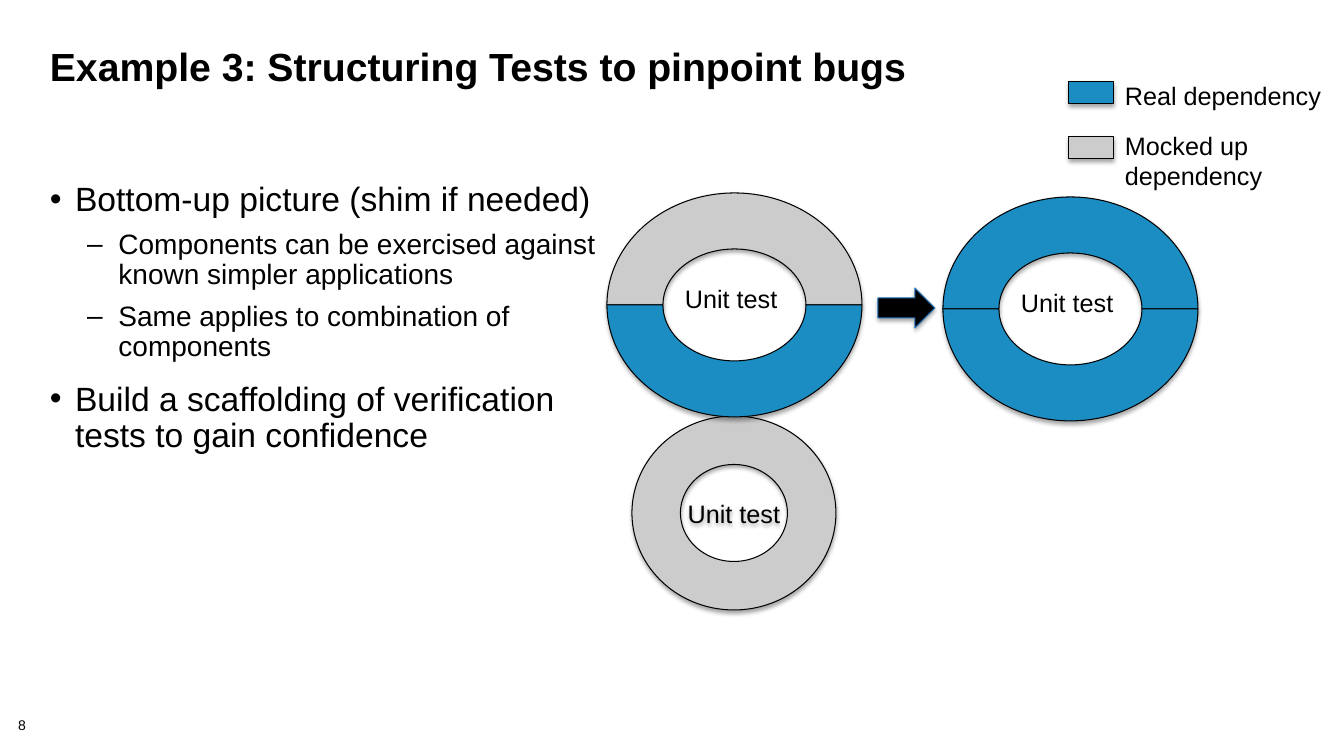
from lxml import etree
from pptx import Presentation
from pptx.dml.color import RGBColor
from pptx.enum.shapes import MSO_SHAPE as Preset
from pptx.enum.text import MSO_ANCHOR as Anchor, PP_ALIGN as Align
from pptx.oxml import parse_xml
from pptx.oxml.ns import nsdecls, qn
from pptx.util import Emu, Pt

PX = 914400 / 100.8
BLACK = RGBColor(0x00, 0x00, 0x00)
BLUE = RGBColor(0x1B, 0x8D, 0xC3)
GREY = RGBColor(0xCC, 0xCC, 0xCC)
ARROW_EDGE = RGBColor(0x26, 0x73, 0xBA)

presentation = Presentation()
presentation.slide_width = Emu(round(1344 * PX))
presentation.slide_height = Emu(round(756 * PX))
slide = presentation.slides.add_slide(presentation.slide_layouts[6])


def add_text(box, lines, size, wrap=True, bold=False, spacing=None):
    shape = slide.shapes.add_textbox(*[Emu(round(n * PX)) for n in box])
    frame = shape.text_frame
    frame.word_wrap = wrap
    frame.text = "\n".join(lines)
    for paragraph in frame.paragraphs:
        paragraph.line_spacing = spacing
        paragraph.font.name = "Arial"
        paragraph.font.size = Pt(size)
        paragraph.font.bold = bold
        paragraph.font.color.rgb = BLACK
    return frame


def add_figure(preset, box, fill, edge=BLACK):
    shape = slide.shapes.add_shape(preset, *[Emu(round(n * PX)) for n in box])
    shape.fill.solid()
    shape.fill.fore_color.rgb = fill
    shape.line.color.rgb = edge
    shape.line.width = Pt(0.75)
    shape.shadow.inherit = False
    shape._element.spPr.find(qn("a:effectLst")).append(parse_xml(
        f'<a:outerShdw {nsdecls("a")} blurRad="40000" dist="23000" dir="5400000" rotWithShape="0">'
        '<a:srgbClr val="000000"><a:alpha val="35000"/></a:srgbClr></a:outerShdw>'))
    return shape


number = add_text((18, 718, 56, 16), ["8"], 10, spacing=0.9)
number.margin_left = number.margin_right = number.margin_top = number.margin_bottom = 0

add_text((40, 45, 1254, 101), ["Example 3: Structuring Tests to pinpoint bugs"], 28, bold=True, spacing=0.85)

bullets = [
    (0, "Bottom-up picture (shim if needed)"),
    (1, "Components can be exercised against known simpler applications"),
    (1, "Same applies to combination of components"),
    (0, "Build a scaffolding of verification tests to gain confidence"),
]
levels = [("•", 25, 25, 24, 14), ("–", 68, 31, 20, 8)]
body = slide.shapes.add_textbox(*[Emu(round(n * PX)) for n in (40, 178, 567, 471)]).text_frame
body.word_wrap = True
body.text = "\n".join(text for _, text in bullets)
for index, (paragraph, (level, _)) in enumerate(zip(body.paragraphs, bullets)):
    mark, margin, hang, size, before = levels[level]
    paragraph.level = level
    paragraph.line_spacing = 0.9
    paragraph.space_before = Pt(before if index else 0)
    properties = paragraph._p.get_or_add_pPr()
    properties.set("marL", str(margin * 9144))
    properties.set("indent", str(-hang * 9144))
    etree.SubElement(properties, qn("a:buFont"), typeface="Arial")
    etree.SubElement(properties, qn("a:buChar"), char=mark)
    paragraph.font.name = "Arial"
    paragraph.font.size = Pt(size)
    paragraph.font.color.rgb = BLACK

donut = add_figure(Preset.DONUT, (632, 416, 204, 194), GREY)
donut.text_frame.text = "Unit test"
donut.text_frame.vertical_anchor = Anchor.MIDDLE
caption = donut.text_frame.paragraphs[0]
caption.alignment = Align.CENTER
caption.font.name = "Arial"
caption.font.size = Pt(18)
caption.font.color.rgb = BLACK

for left, top, upper_fill in [(607, 193, GREY), (943, 197, BLUE)]:
    ring = (left, top, 255, 224)
    add_figure(Preset.BLOCK_ARC, ring, upper_fill)
    lower = add_figure(Preset.BLOCK_ARC, ring, BLUE)
    lower._element.spPr.xfrm.set("flipV", "1")
    add_text((left + 68, top + 85, 114, 40), ["Unit test"], 18, wrap=False)

legend = [
    (82, BLUE, (1115, 75, 219, 40), ["Real dependency"]),
    (137, GREY, (1115, 125, 159, 72), ["Mocked up", "dependency"]),
]
for top, fill, label_box, lines in legend:
    add_figure(Preset.RECTANGLE, (1069, top, 45, 22), fill)
    add_text(label_box, lines, 18, wrap=False)

add_figure(Preset.RIGHT_ARROW, (878, 288, 57, 40), BLACK, ARROW_EDGE)

presentation.save("out.pptx")
